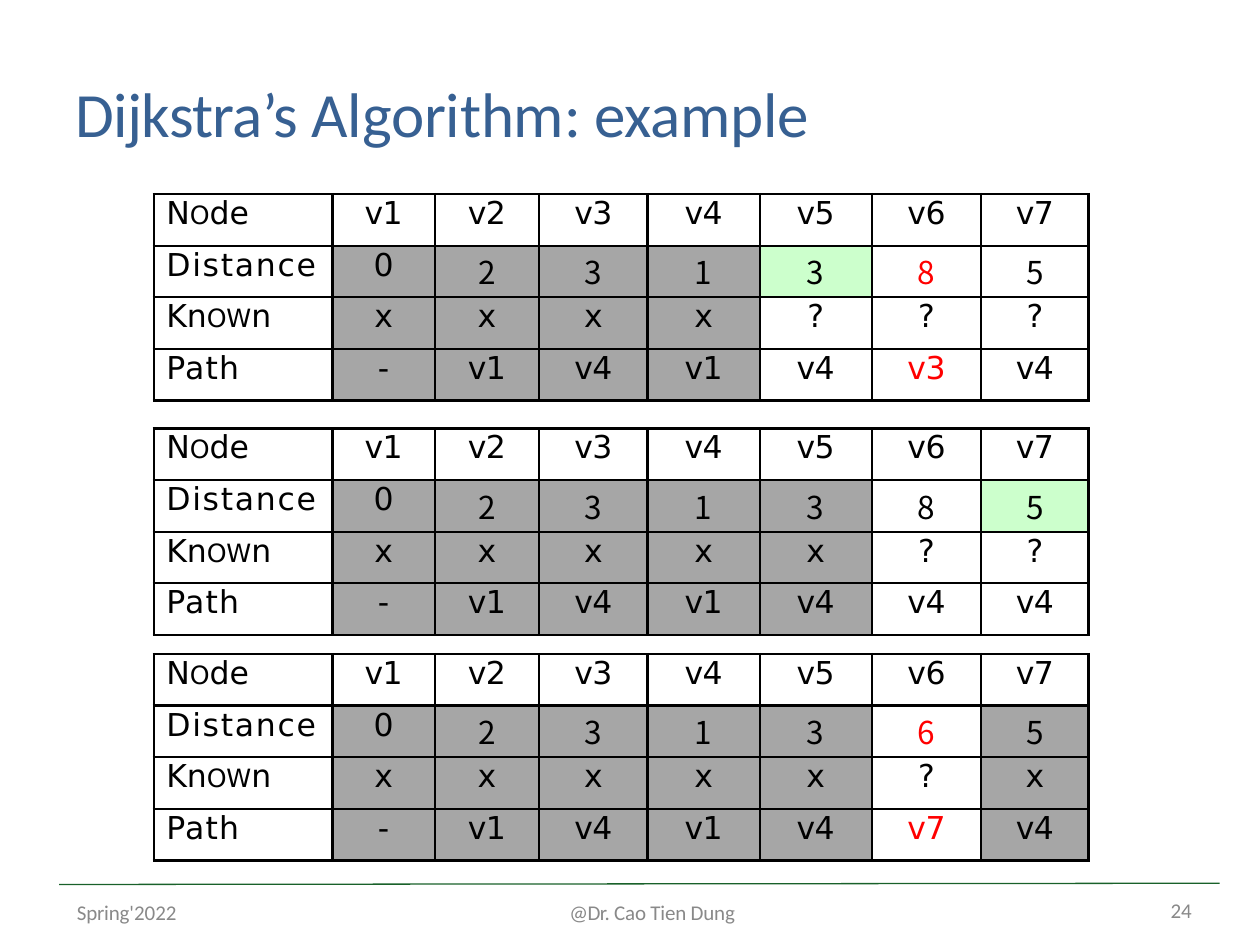
from dataclasses import dataclass
from typing import NamedTuple

from lxml.etree import SubElement as Sub
from pptx import Presentation
from pptx.dml.color import RGBColor as Rgb
from pptx.enum.shapes import MSO_CONNECTOR as Link
from pptx.enum.text import MSO_ANCHOR as Anchor, MSO_AUTO_SIZE as Fit, PP_ALIGN as Align
from pptx.oxml.ns import qn
from pptx.util import Inches, Pt


@dataclass(frozen=True)
class Theme:
    head: str = "376092"
    ink: str = "000000"
    new: str = "FF0000"
    done: str = "A6A6A6"
    next: str = "CCFFCC"
    foot: str = "898989"
    rule: str = "19612A"
    sans: str = "Calibri"
    grid: str = "DejaVu Sans"
    digit: str = "Noto Sans CJK JP"
    big: float = 36
    mid: float = 18
    low: float = 12
    edge: float = 1.5


class Bit(NamedTuple):
    text: str
    space: float = 0
    small: bool = False


class Note(NamedTuple):
    left: float
    top: float
    width: float
    height: float
    indent: float
    bits: list[Bit]


class Step(NamedTuple):
    """One state of the search: the row values, the next node and changed cells."""
    top: float
    dist: str
    known: str
    prior: str
    next: int | None
    new: set[tuple[int, int]]


THEME = Theme()
LEFT, ROW = 1.22, 0.41
COLS = [1.42, 0.81, 0.83, 0.86, 0.89, 0.89, 0.87, 0.85]
DIST = 1
LABELS = [
    [Bit("N"), Bit("o", small=True), Bit("de")],
    [Bit("Distance", 1)],
    [Bit("Kn", -0.1), Bit("o", -0.1, True), Bit("w", small=True), Bit("n")],
    [Bit("Path", 0.7)],
]
NODES = "v1 v2 v3 v4 v5 v6 v7"
STEPS = [
    Step(1.54, "0 2 3 1 3 8 5", "x x x x ? ? ?", "- v1 v4 v1 v4 v3 v4", 5, {(1, 6), (3, 6)}),
    Step(3.4, "0 2 3 1 3 8 5", "x x x x x ? ?", "- v1 v4 v1 v4 v4 v4", 7, set()),
    Step(5.19, "0 2 3 1 3 6 5", "x x x x x ? x", "- v1 v4 v1 v4 v7 v4", None, {(1, 6), (3, 6)}),
]
NOTES = [
    Note(0.6, 7.13, 1.09, 0.21, 0.01, [Bit("Spring'", -0.1), Bit("2022")]),
    Note(4.51, 7.13, 1.7, 0.21, 0.01, [Bit("@Dr. ", -0.3), Bit("Cao Tien Dung", -0.1)]),
    Note(9.25, 7.11, 0.25, 0.23, 0.04, [Bit("24")]),
]


def write(para, bits: list[Bit], font: str, size: float, color: str) -> None:
    for bit in bits:
        run = para.add_run()
        run.text = bit.text
        run.font.name, run.font.size = font, Pt(size)
        run.font.color.rgb = Rgb.from_string(color)
        props = run._r.get_or_add_rPr()
        if bit.space:
            props.set("spc", str(round(bit.space * 100)))
        if bit.small:
            props.set("cap", "small")


def layout(para, before: float, align=Align.LEFT, indent: float = 0) -> None:
    para.alignment, para.space_before = align, Pt(before)
    props = para._p.get_or_add_pPr()
    props.set("marL", str(Inches(indent)))
    props.set("indent", "0")


def frame(shape):
    """Set tight margins and return the first paragraph."""
    box = shape.text_frame
    box.word_wrap, box.auto_size = True, Fit.SHAPE_TO_FIT_TEXT
    box.vertical_anchor = Anchor.TOP
    box.margin_left = box.margin_right = box.margin_bottom = 0
    box.margin_top = Inches(0.01)
    return box.paragraphs[0]


def title(slide) -> None:
    shape = slide.shapes.title
    shape.left, shape.top = Inches(0.59), Inches(0.58)
    shape.width, shape.height = Inches(9.38), Inches(0.62)
    para = frame(shape)
    layout(para, 1, indent=0.01)
    bits = [Bit("Dijkstra’s ", -0.4), Bit("Algorithm:", -0.1), Bit(" example", -0.2)]
    write(para, bits, THEME.sans, THEME.big, THEME.head)


def footer(slide, note: Note) -> None:
    box = slide.shapes.add_textbox(*map(Inches, note[:4]))
    para = frame(box)
    layout(para, 0.4, indent=note.indent)
    write(para, note.bits, THEME.sans, THEME.low, THEME.foot)


def rule(slide) -> None:
    line = slide.shapes.add_connector(Link.STRAIGHT, *map(Inches, (0.47, 7.02, 9.68, 7.01)))
    line.line.color.rgb = Rgb.from_string(THEME.rule)
    line.line.width = Pt(0.75)
    Sub(line._element.spPr, qn("a:effectLst"))


def paint(cell, fill: str | None) -> None:
    """Add borders first, as the schema puts them before the fill."""
    props = cell._tc.get_or_add_tcPr()
    for side in ("lnL", "lnR", "lnT", "lnB"):
        line = Sub(props, qn(f"a:{side}"), w=str(Pt(THEME.edge)))
        solid = Sub(line, qn("a:solidFill"))
        Sub(solid, qn("a:srgbClr"), val=THEME.ink)
    if fill:
        cell.fill.solid()
        cell.fill.fore_color.rgb = Rgb.from_string(fill)
    else:
        cell.fill.background()


def shade(step: Step, row: int, col: int) -> str | None:
    if row == 0 or col == 0:
        return None
    if step.known.split()[col - 1] == "x":
        return THEME.done
    return THEME.next if (row, col) == (DIST, step.next) else None


def grid(slide, step: Step) -> None:
    rows = [line.split() for line in (NODES, step.dist, step.known, step.prior)]
    size = map(Inches, (LEFT, step.top, sum(COLS), ROW * len(rows)))
    table = slide.shapes.add_table(len(rows), len(COLS), *size).table
    table.first_row = table.horz_banding = False
    for col, width in zip(table.columns, COLS):
        col.width = Inches(width)
    for r, (label, values) in enumerate(zip(LABELS, rows)):
        table.rows[r].height = Inches(ROW)
        for c in range(len(COLS)):
            cell = table.cell(r, c)
            digit = r == DIST and c > 1
            cell.margin_left = cell.margin_right = cell.margin_bottom = 0
            cell.margin_top = Inches(0.02 if digit else 0.01)
            paint(cell, shade(step, r, c))
            para = cell.text_frame.paragraphs[0]
            if c == 0:
                layout(para, 0.6, indent=0.1)
                bits = label
            else:
                layout(para, 1.5 if digit else 0.6, Align.CENTER)
                text = values[c - 1]
                bits = [Bit(text, -0.3 if text[0] == "v" else 0)]
            write(para, bits, THEME.digit if digit else THEME.grid, THEME.mid,
                  THEME.new if (r, c) in step.new else THEME.ink)


def main() -> None:
    deck = Presentation()
    deck.slide_width, deck.slide_height = Inches(10), Inches(7.5)
    slide = deck.slides.add_slide(deck.slide_layouts[5])
    rule(slide)
    title(slide)
    for note in NOTES:
        footer(slide, note)
    for step in STEPS:
        grid(slide, step)
    deck.save("out.pptx")


if __name__ == "__main__":
    main()
